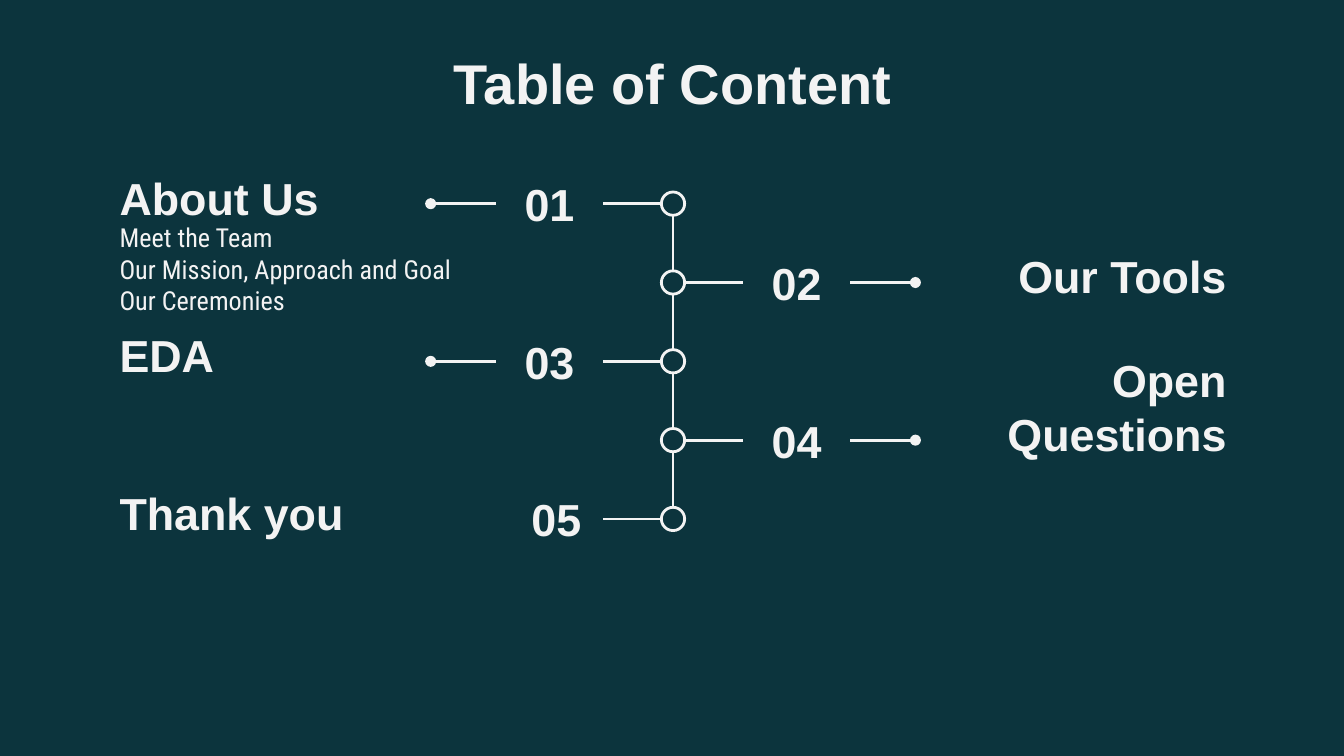
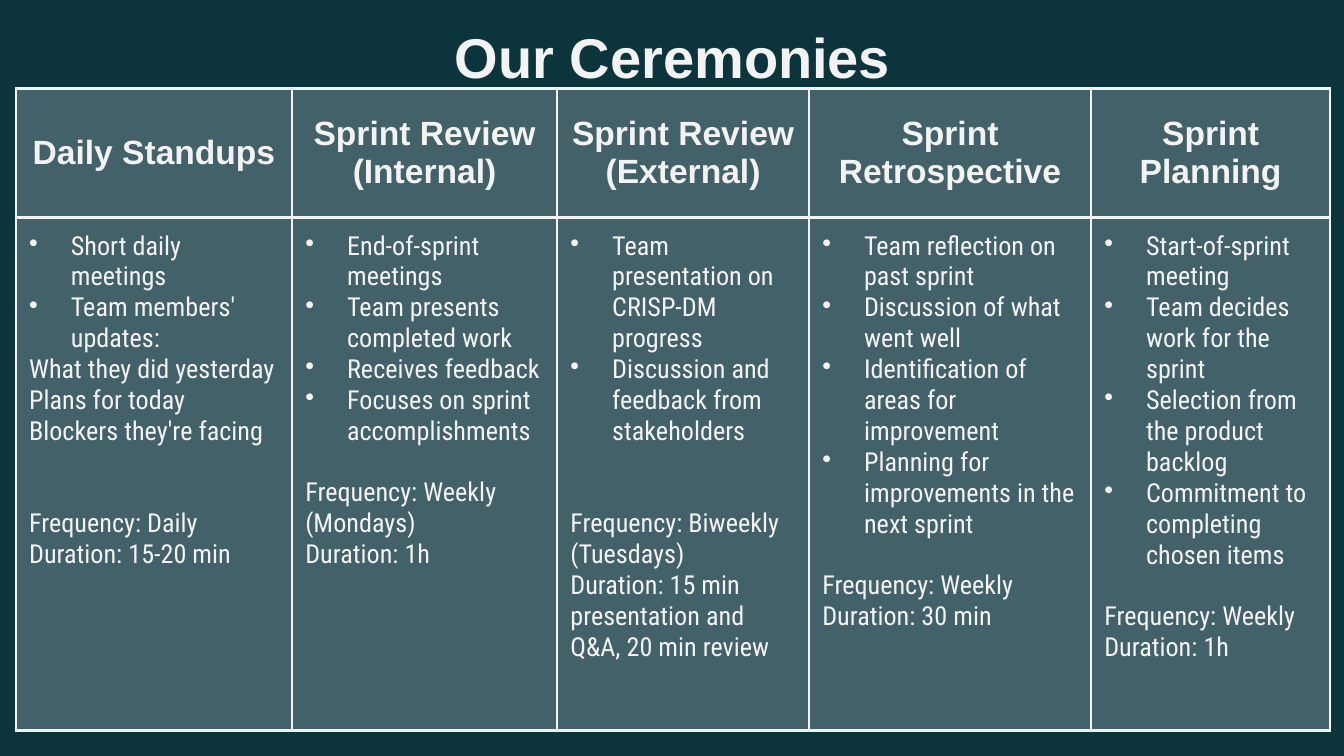
from dataclasses import dataclass

from lxml.etree import SubElement
from pptx import Presentation
from pptx.dml.color import RGBColor
from pptx.enum.shapes import MSO_CONNECTOR as Link, MSO_SHAPE as Shape
from pptx.enum.text import MSO_ANCHOR as Anchor, PP_ALIGN as Align
from pptx.oxml.ns import qn
from pptx.util import Cm, Pt


@dataclass(frozen=True)
class Theme:
    background: RGBColor = RGBColor.from_string("0C343D")
    light: RGBColor = RGBColor.from_string("F3F3F3")
    cell_alpha: int = 24
    heading_font: str = "Arial"
    body_font: str = "Roboto Condensed"
    title_size: int = 30
    label_size: int = 24
    header_size: int = 18
    body_size: int = 14
    body_line: float = 16.4
    line_width: float = 1.5
    inset: float = 0.25


@dataclass(frozen=True)
class Ceremony:
    name: str
    width: float
    bullets: tuple
    facts: tuple
    notes: tuple = ()
    gap_lines: int = 1


THEME = Theme()
LEFT, RIGHT = -1, 1

# Timeline geometry in cm; distances are measured from the vertical axis.
AXIS_X = 12.72
FIRST_Y = 3.85
STEP_Y = 1.49
RADIUS = 0.22
NUMBER_NEAR, NUMBER_FAR = 1.32, 3.35
LABEL_NEAR, LABEL_FAR = 4.58, 10.71
LABEL_HEIGHT = 1.27
LAST_NUMBER_SHIFT = 0.13

CHAPTERS = ["About Us", "Our Tools", "EDA", "Open Questions", "Thank you"]
ABOUT_TOPICS = ["Meet the Team", "Our Mission, Approach and Goal", "Our Ceremonies"]

CEREMONIES = [
    Ceremony(
        "Daily Standups", 5.22,
        ("Short daily meetings", "Team members' updates:"),
        ("Frequency: Daily", "Duration: 15-20 min"),
        notes=("What they did yesterday", "Plans for today", "Blockers they're facing"),
        gap_lines=2),
    Ceremony(
        "Sprint Review (Internal)", 5.01,
        ("End-of-sprint meetings", "Team presents completed work",
         "Receives feedback", "Focuses on sprint accomplishments"),
        ("Frequency: Weekly (Mondays)", "Duration: 1h")),
    Ceremony(
        "Sprint Review (External)", 4.76,
        ("Team presentation on CRISP-DM progress",
         "Discussion and feedback from stakeholders"),
        ("Frequency: Biweekly (Tuesdays)",
         "Duration: 15 min presentation and Q&A, 20 min review"),
        gap_lines=2),
    Ceremony(
        "Sprint Retrospective", 5.33,
        ("Team reflection on past sprint", "Discussion of what went well",
         "Identification of areas for improvement",
         "Planning for improvements in the next sprint"),
        ("Frequency: Weekly", "Duration: 30 min")),
    Ceremony(
        "Sprint Planning", 4.52,
        ("Start-of-sprint meeting", "Team decides work for the sprint",
         "Selection from the product backlog",
         "Commitment to completing chosen items"),
        ("Frequency: Weekly", "Duration: 1h")),
]


def add_run(paragraph, text, size, heading=False):
    run = paragraph.add_run()
    run.text = text
    run.font.size = Pt(size)
    run.font.bold = heading
    run.font.name = THEME.heading_font if heading else THEME.body_font
    run.font.color.rgb = THEME.light


def set_insets(holder):
    """Give a text frame or a table cell the same margin on every side."""
    holder.margin_left = holder.margin_right = Cm(THEME.inset)
    holder.margin_top = holder.margin_bottom = Cm(THEME.inset)


def write_lines(frame, lines, size, heading=False, align=Align.LEFT):
    """Write one paragraph per line and return the paragraphs."""
    paragraphs = []
    for index, line in enumerate(lines):
        paragraph = frame.add_paragraph() if index else frame.paragraphs[0]
        paragraph.alignment = align
        add_run(paragraph, line, size, heading)
        paragraphs.append(paragraph)
    return paragraphs


def add_text(slide, box, lines, size, heading=True, align=Align.LEFT, anchor=Anchor.TOP):
    text_box = slide.shapes.add_textbox(*(Cm(length) for length in box))
    frame = text_box.text_frame
    frame.word_wrap = True
    frame.vertical_anchor = anchor
    set_insets(frame)
    write_lines(frame, lines, size, heading, align)
    return text_box


def add_titled_slide(deck, title, top):
    slide = deck.slides.add_slide(deck.slide_layouts[6])
    slide.background.fill.solid()
    slide.background.fill.fore_color.rgb = THEME.background
    add_text(slide, (2.01, top, 21.41, 1.6), [title], THEME.title_size, align=Align.CENTER)
    return slide


def add_line(slide, start, end, dot=False):
    line = slide.shapes.add_connector(
        Link.STRAIGHT, *(Cm(length) for length in (*start, *end)))
    line.line.color.rgb = THEME.light
    line.line.width = Pt(THEME.line_width)
    if dot:
        SubElement(line.line._get_or_add_ln(), qn("a:tailEnd"), type="oval")
    SubElement(line._element.spPr, qn("a:effectLst"))
    return line


def add_node(slide, y):
    node = slide.shapes.add_shape(
        Shape.OVAL, Cm(AXIS_X - RADIUS), Cm(y - RADIUS), Cm(2 * RADIUS), Cm(2 * RADIUS))
    node.shadow.inherit = False
    node.fill.background()
    node.line.color.rgb = THEME.light
    node.line.width = Pt(THEME.line_width)


def beside_axis(side, near, far, y):
    """Box between two distances from the axis, centred on y."""
    left = AXIS_X + near if side == RIGHT else AXIS_X - far
    return left, y - LABEL_HEIGHT / 2, far - near, LABEL_HEIGHT


def add_chapter(slide, index, name):
    y = FIRST_Y + index * STEP_Y
    side = RIGHT if index % 2 else LEFT
    is_last = index == len(CHAPTERS) - 1
    inner_side, outer_side = (1, 3) if side == RIGHT else (3, 1)

    add_node(slide, y)
    if not is_last:
        add_line(slide, (AXIS_X, y + RADIUS), (AXIS_X, y + STEP_Y - RADIUS))

    label = add_text(
        slide, beside_axis(side, LABEL_NEAR, LABEL_FAR, y), [name], THEME.label_size,
        align=Align.RIGHT if side == RIGHT else Align.LEFT, anchor=Anchor.BOTTOM)
    number = add_text(
        slide, beside_axis(side, NUMBER_NEAR, NUMBER_FAR, y), [f"{index + 1:02}"],
        THEME.label_size, align=Align.CENTER, anchor=Anchor.MIDDLE)

    branch = add_line(
        slide, (AXIS_X + side * RADIUS, y), (AXIS_X + side * NUMBER_NEAR, y))
    if is_last:
        number.left += Cm(LAST_NUMBER_SHIFT)
        return
    branch.end_connect(number, inner_side)
    pointer = add_line(
        slide, (AXIS_X + side * NUMBER_FAR, y), (AXIS_X + side * LABEL_NEAR, y), dot=True)
    pointer.begin_connect(number, outer_side)
    pointer.end_connect(label, inner_side)


def add_bullet(paragraph):
    properties = paragraph._p.get_or_add_pPr()
    indent = Cm(0.79)
    properties.set("marL", str(indent))
    properties.set("indent", str(-indent))
    colour = SubElement(properties, qn("a:buClr"))
    SubElement(colour, qn("a:srgbClr"), val=str(THEME.light))
    SubElement(properties, qn("a:buChar"), char="•")


def style_cell(cell):
    """Set the borders, the translucent fill and the margins."""
    properties = cell._tc.get_or_add_tcPr()
    for edge in ("a:lnL", "a:lnR", "a:lnT", "a:lnB"):
        border = SubElement(properties, qn(edge), w=str(Pt(THEME.line_width)))
        paint = SubElement(border, qn("a:solidFill"))
        SubElement(paint, qn("a:srgbClr"), val=str(THEME.light))
    cell.fill.solid()
    cell.fill.fore_color.rgb = THEME.light
    tint = properties.find(qn("a:solidFill")).find(qn("a:srgbClr"))
    SubElement(tint, qn("a:alpha"), val=str(THEME.cell_alpha * 1000))
    set_insets(cell)


def fill_ceremony(header, details, ceremony):
    for cell in (header, details):
        style_cell(cell)
    header.vertical_anchor = Anchor.MIDDLE
    write_lines(header.text_frame, [ceremony.name], THEME.header_size, True, Align.CENTER)

    lines = ceremony.bullets + ceremony.notes + ceremony.facts
    paragraphs = write_lines(details.text_frame, lines, THEME.body_size)
    first_fact = paragraphs[-len(ceremony.facts)]
    first_fact.space_before = Pt(ceremony.gap_lines * THEME.body_line)
    for paragraph in paragraphs[:len(ceremony.bullets)]:
        add_bullet(paragraph)


def add_ceremony_table(slide):
    row_heights = (2.44, 9.7)
    width = sum(ceremony.width for ceremony in CEREMONIES)
    table = slide.shapes.add_table(
        len(row_heights), len(CEREMONIES),
        Cm(0.3), Cm(1.67), Cm(width), Cm(sum(row_heights))).table
    table.first_row = table.horz_banding = False
    for row, height in zip(table.rows, row_heights):
        row.height = Cm(height)
    for column, ceremony in enumerate(CEREMONIES):
        table.columns[column].width = Cm(ceremony.width)
        fill_ceremony(table.cell(0, column), table.cell(1, column), ceremony)


def build_contents(deck):
    slide = add_titled_slide(deck, "Table of Content", 0.66)
    add_text(slide, (2.01, 3.94, 7.16, 1.35), ABOUT_TOPICS, THEME.body_size, heading=False)
    for index, name in enumerate(CHAPTERS):
        add_chapter(slide, index, name)


def build_ceremonies(deck):
    slide = add_titled_slide(deck, "Our Ceremonies", 0.18)
    add_ceremony_table(slide)


def main():
    deck = Presentation()
    deck.slide_width, deck.slide_height = Cm(25.4), Cm(14.29)
    build_contents(deck)
    build_ceremonies(deck)
    deck.save("out.pptx")


if __name__ == "__main__":
    main()
